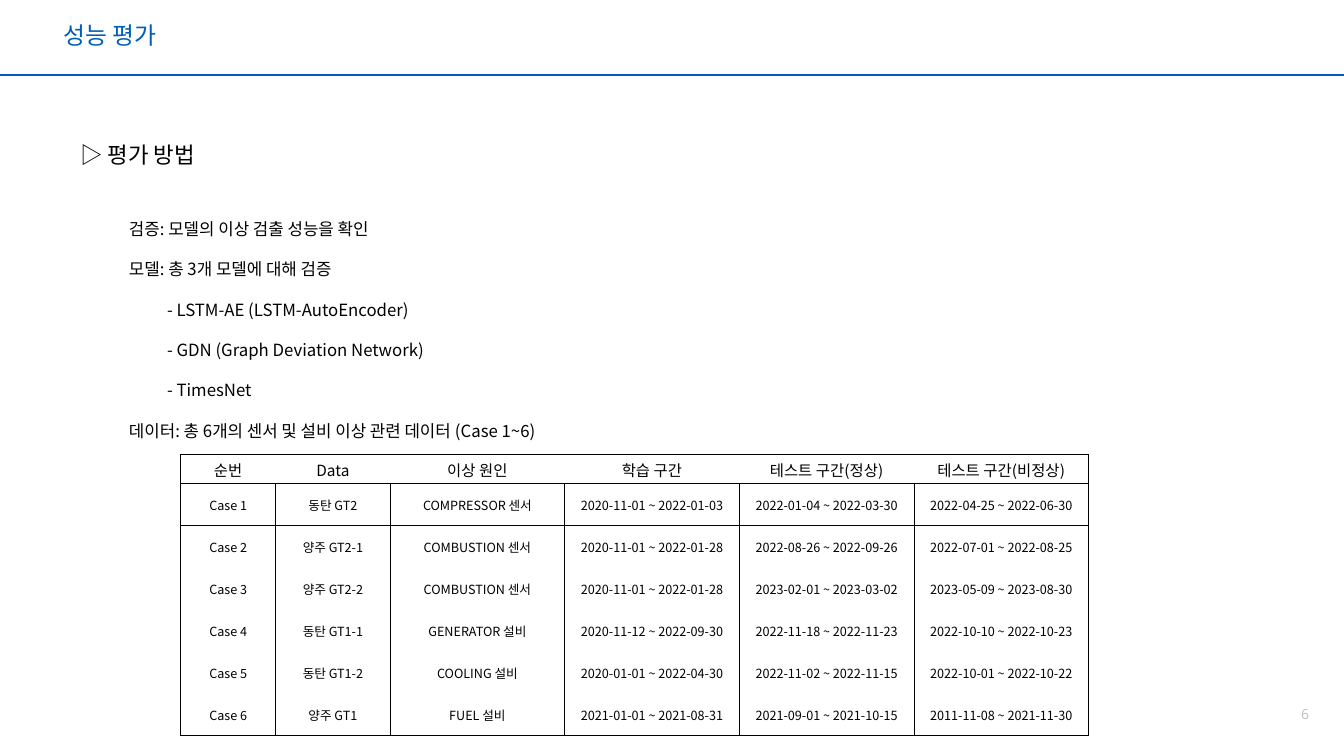
from dataclasses import dataclass
from lxml.etree import SubElement
from pptx import Presentation
from pptx.dml.color import RGBColor
from pptx.enum.shapes import MSO_CONNECTOR
from pptx.enum.text import MSO_ANCHOR as Anchor, PP_ALIGN as Align
from pptx.oxml.ns import qn
from pptx.util import Cm, Pt


@dataclass(frozen=True)
class Theme:
    blue: RGBColor = RGBColor(0x00, 0x5E, 0xB8)
    black: RGBColor = RGBColor(0x00, 0x00, 0x00)
    gray: RGBColor = RGBColor(0xBF, 0xBF, 0xBF)
    korean: str = "Noto Sans CJK KR"
    latin: str = "Open Sans"
    title: Pt = Pt(17)
    heading: Pt = Pt(16)
    body: Pt = Pt(12)
    table_header: Pt = Pt(11)
    table_body: Pt = Pt(9)
    page: Pt = Pt(10)
    rule: Pt = Pt(1.5)
    border: Pt = Pt(0.5)


theme = Theme()


def write(paragraph, text, size, color=theme.black, name=theme.korean):
    paragraph.text = text
    font = paragraph.font
    font.size = size
    font.color.rgb = color
    font.name = name
    SubElement(font._element, qn("a:ea"), typeface=name)


def add_text_frame(left, top, width, height, anchor=Anchor.TOP):
    text_frame = slide.shapes.add_textbox(Cm(left), Cm(top), Cm(width), Cm(height)).text_frame
    text_frame.word_wrap = True
    text_frame.vertical_anchor = anchor
    return text_frame


presentation = Presentation()
presentation.slide_width = Cm(33.87)
presentation.slide_height = Cm(19.05)
slide = presentation.slides.add_slide(presentation.slide_layouts[6])

title_rule = slide.shapes.add_connector(
    MSO_CONNECTOR.STRAIGHT, 0, Cm(1.9), presentation.slide_width, Cm(1.9))
title_rule.line.color.rgb = theme.blue
title_rule.line.width = theme.rule
SubElement(title_rule._element.spPr, qn("a:effectLst"))

page_number = add_text_frame(32.59, 17.78, 0.4, 0.43)
page_number.word_wrap = False
page_number.margin_left = page_number.margin_right = 0
page_number.margin_top = page_number.margin_bottom = 0
write(page_number.paragraphs[0], "6", theme.page, theme.gray, theme.latin)
page_number.paragraphs[0].alignment = Align.RIGHT

title = add_text_frame(1.35, 0.3, 31.67, 1.27, Anchor.MIDDLE)
write(title.paragraphs[0], "성능 평가", theme.title, theme.blue)
title.paragraphs[0].line_spacing = 0.9

heading = add_text_frame(1.78, 3.43, 16.97, 0.94, Anchor.MIDDLE)
write(heading.paragraphs[0], "▷ 평가 방법", theme.heading)

method_lines = [
    ("검증: 모델의 이상 검출 성능을 확인", 0),
    ("모델: 총 3개 모델에 대해 검증", 0),
    ("- LSTM-AE (LSTM-AutoEncoder)", 0.96),
    ("- GDN (Graph Deviation Network)", 0.96),
    ("- TimesNet", 0.96),
    ("데이터: 총 6개의 센서 및 설비 이상 관련 데이터 (Case 1~6)", 0),
]
methods = add_text_frame(3, 4.88, 16.97, 6.25)
for index, (text, indent) in enumerate(method_lines):
    paragraph = methods.add_paragraph() if index else methods.paragraphs[0]
    paragraph._p.get_or_add_pPr().set("marL", str(Cm(indent)))
    paragraph.line_spacing = Pt(28.8)
    write(paragraph, text, theme.body)

case_rows = [
    ("순번", "Data", "이상 원인", "학습 구간", "테스트 구간(정상)", "테스트 구간(비정상)"),
    ("Case 1", "동탄 GT2", "COMPRESSOR 센서", "2020-11-01 ~ 2022-01-03",
     "2022-01-04 ~ 2022-03-30", "2022-04-25 ~ 2022-06-30"),
    ("Case 2", "양주 GT2-1", "COMBUSTION 센서", "2020-11-01 ~ 2022-01-28",
     "2022-08-26 ~ 2022-09-26", "2022-07-01 ~ 2022-08-25"),
    ("Case 3", "양주 GT2-2", "COMBUSTION 센서", "2020-11-01 ~ 2022-01-28",
     "2023-02-01 ~ 2023-03-02", "2023-05-09 ~ 2023-08-30"),
    ("Case 4", "동탄 GT1-1", "GENERATOR 설비", "2020-11-12 ~ 2022-09-30",
     "2022-11-18 ~ 2022-11-23", "2022-10-10 ~ 2022-10-23"),
    ("Case 5", "동탄 GT1-2", "COOLING 설비", "2020-01-01 ~ 2022-04-30",
     "2022-11-02 ~ 2022-11-15", "2022-10-01 ~ 2022-10-22"),
    ("Case 6", "양주 GT1", "FUEL 설비", "2021-01-01 ~ 2021-08-31",
     "2021-09-01 ~ 2021-10-15", "2011-11-08 ~ 2021-11-30"),
]
column_widths = [2.4, 2.88] + [4.4] * 4
row_heights = [0.73] + [1.06] * 6
last_row, last_column = len(row_heights) - 1, len(column_widths) - 1

table = slide.shapes.add_table(
    len(row_heights), len(column_widths), Cm(4.55), Cm(11.45),
    Cm(sum(column_widths)), Cm(sum(row_heights))).table
table.first_row = table.horz_banding = False
table._tbl.tblPr.find(qn("a:tableStyleId")).text = "{2D5ABB26-0587-4C30-8999-92F81FD0307C}"
for column, width in zip(table.columns, column_widths):
    column.width = Cm(width)

for row, (texts, height) in enumerate(zip(case_rows, row_heights)):
    table.rows[row].height = Cm(height)
    for column, text in enumerate(texts):
        cell = table.cell(row, column)
        cell.vertical_anchor = Anchor.MIDDLE
        cell.margin_left = cell.margin_right = cell.margin_top = Cm(0.03)
        cell.margin_bottom = 0
        paragraph = cell.text_frame.paragraphs[0]
        paragraph.alignment = Align.CENTER
        write(paragraph, text, theme.table_body if row else theme.table_header)
        borders = {
            "lnL": row > 0 or column == 0,
            "lnR": row > 0 or column == last_column,
            "lnT": row <= 1,
            "lnB": row in (0, last_row),
        }
        for edge, shown in borders.items():
            if shown:
                line = SubElement(cell._tc.get_or_add_tcPr(), qn(f"a:{edge}"), w=str(theme.border))
                fill = SubElement(line, qn("a:solidFill"))
                SubElement(fill, qn("a:srgbClr"), val=str(theme.black))
        cell.fill.background()

presentation.save("out.pptx")
